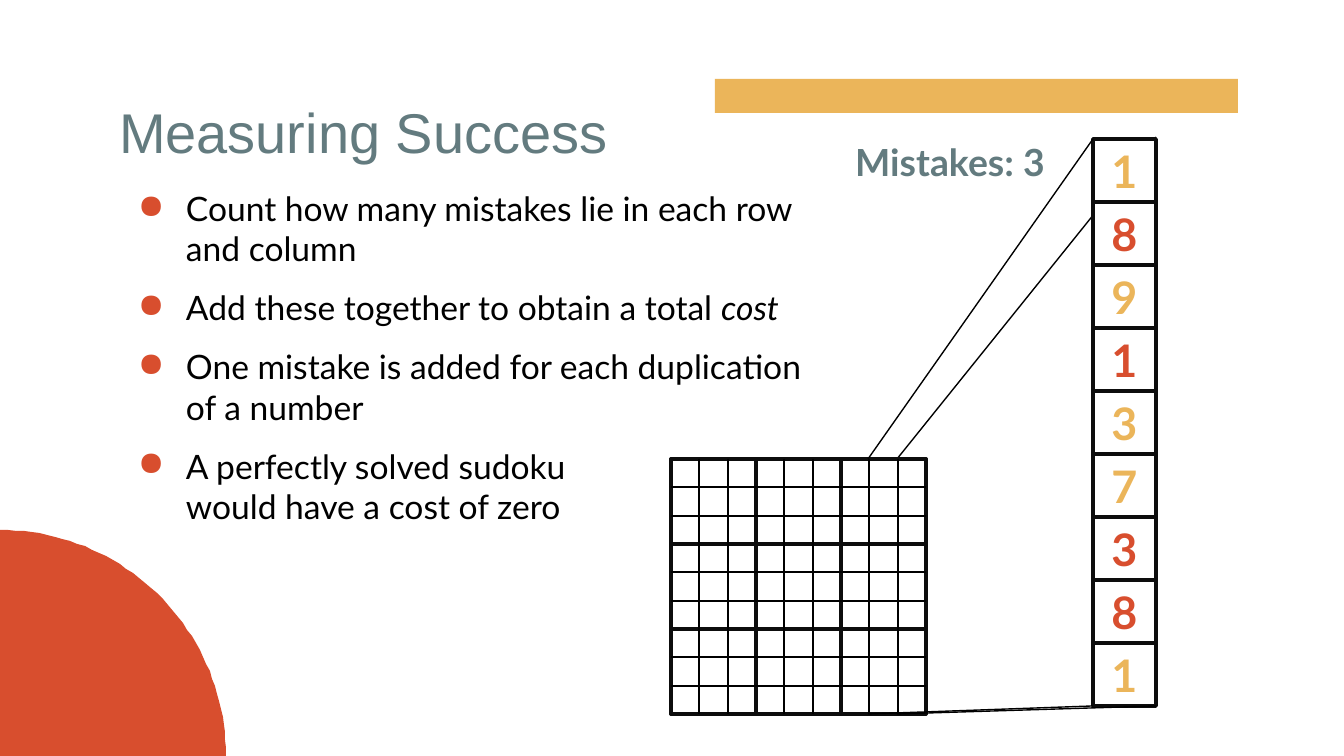
import math

import pptx
import pptx.dml.color
import pptx.enum.shapes
import pptx.enum.text
import pptx.oxml.ns
import pptx.util
from lxml import etree

PX = 914400 / 134.4  # EMU in one px
RGBColor = pptx.dml.color.RGBColor
YELLOW = RGBColor(0xEB, 0xB5, 0x5A)
RED = RGBColor(0xD8, 0x4E, 0x2E)
TEAL = RGBColor(0x63, 0x7B, 0x7F)
BLACK = RGBColor(0, 0, 0)
INK = RGBColor(0x0D, 0x0D, 0x0D)
WHITE = RGBColor(0xFF, 0xFF, 0xFF)
RECTANGLE = pptx.enum.shapes.MSO_SHAPE.RECTANGLE
STRAIGHT = pptx.enum.shapes.MSO_CONNECTOR.STRAIGHT
CENTER = pptx.enum.text.PP_ALIGN.CENTER
qn = pptx.oxml.ns.qn

presentation = pptx.Presentation()
presentation.slide_width = round(1344 * PX)
presentation.slide_height = round(756 * PX)
slide = presentation.slides.add_slide(presentation.slide_layouts[6])


def add_line(*ends):
    line = slide.shapes.add_connector(STRAIGHT, *[round(end * PX) for end in ends])
    line.line.color.rgb = BLACK
    line.line.width = pptx.util.Pt(0.75)
    etree.SubElement(line._element.spPr, qn("a:effectLst"))


def add_run(paragraph, text, font, size, color, bold=False, italic=False):
    run = paragraph.add_run()
    run.text = text
    run.font.name = font
    run.font.size = pptx.util.Pt(size)
    run.font.color.rgb = color
    run.font.bold = bold
    run.font.italic = italic


# Yellow bar
bar = slide.shapes.add_shape(
    RECTANGLE, *[round(n * PX) for n in (715, 79, 523, 34)])
bar.shadow.inherit = False
bar.fill.solid()
bar.fill.fore_color.rgb = YELLOW
bar.line.fill.background()

# Red quarter circle in the bottom left corner
RADIUS = 226
arc = [(RADIUS * math.sin(math.radians(angle)),
        756 - RADIUS * math.cos(math.radians(angle))) for angle in range(0, 91, 2)]
builder = slide.shapes.build_freeform(0, 756, scale=PX)
builder.add_line_segments(arc, close=True)
quarter = builder.convert_to_shape()
quarter.shadow.inherit = False
quarter.fill.solid()
quarter.fill.fore_color.rgb = RED
quarter.line.fill.background()

# Text boxes: title, bullets and mistake count
frames = []
for box in ((106, 85, 566, 85), (106, 175, 711, 408), (833, 126, 234, 128)):
    text_box = slide.shapes.add_textbox(*[round(n * PX) for n in box])
    frame = text_box.text_frame
    frame.word_wrap = True
    frame.margin_left = frame.margin_right = round(13 * PX)
    frame.margin_top = frame.margin_bottom = round(13 * PX)
    frames.append(frame)
title, body, count = frames

add_run(title.paragraphs[0], "Measuring Success", "Arial", 30, TEAL)
count.paragraphs[0].alignment = CENTER
add_run(count.paragraphs[0], "Mistakes: 3", "Lato", 20, TEAL, bold=True)

# Each bullet is a list of lines, each line a list of (text, italic) runs
bullets = [
    [[("Count how many mistakes lie in each row and column", False)]],
    [[("Add these together to obtain a total ", False), ("cost", True)]],
    [[("One mistake is added for each duplication of a number", False)]],
    [[("A perfectly solved sudoku ", False)], [("would have a cost of zero", False)]],
]
for index, lines in enumerate(bullets):
    paragraph = body.add_paragraph() if index else body.paragraphs[0]
    paragraph.space_after = pptx.util.Pt(10)
    properties = paragraph._p.get_or_add_pPr()
    properties.set("marL", str(round(67 * PX)))
    properties.set("indent", str(round(-48 * PX)))
    bullet_color = etree.SubElement(properties, qn("a:buClr"))
    etree.SubElement(bullet_color, qn("a:srgbClr")).set("val", str(RED))
    etree.SubElement(properties, qn("a:buChar")).set("char", "●")
    for number, runs in enumerate(lines):
        if number:
            paragraph.add_line_break()
        for text, italic in runs:
            add_run(paragraph, text, "Lato", 18, BLACK, italic=italic)

# Sudoku grid: outer frame, nine boxes, thin cell lines
GRID_LEFT, GRID_TOP, BOX = 671, 459, 85
GRID = 3 * BOX
GRID_RIGHT, GRID_BOTTOM = GRID_LEFT + GRID, GRID_TOP + GRID
COLUMN_LEFT, COLUMN_TOP, CELL = 1093, 139, 63
COLUMN_RIGHT, COLUMN_BOTTOM = COLUMN_LEFT + CELL, COLUMN_TOP + 9 * CELL
ZOOMED_LEFT, ZOOMED_RIGHT = 868, 897

add_line(ZOOMED_RIGHT, GRID_TOP, COLUMN_RIGHT, COLUMN_TOP - 2)

squares = [(GRID_LEFT, GRID_TOP, GRID)]
squares += [(GRID_LEFT + column * BOX, GRID_TOP + row * BOX, BOX)
            for row in range(3) for column in range(3)]
for left, top, size in squares:
    square = slide.shapes.add_shape(
        RECTANGLE, *[round(n * PX) for n in (left, top, size, size)])
    square.shadow.inherit = False
    square.fill.background()
    square.line.color.rgb = INK
    square.line.width = pptx.util.Pt(2)

for step in (1, 2, 4, 5, 7, 8):
    offset = round(step * GRID / 9)
    add_line(GRID_LEFT + offset, GRID_TOP, GRID_LEFT + offset, GRID_BOTTOM)
    add_line(GRID_LEFT, GRID_TOP + offset, GRID_RIGHT, GRID_TOP + offset)

# Enlarged column, repeated digits in red
digits = "189137381"
mistakes = (1, 3, 6, 7)
for index, digit in enumerate(digits):
    cell = slide.shapes.add_shape(
        RECTANGLE,
        *[round(n * PX) for n in (COLUMN_LEFT, COLUMN_TOP + index * CELL, CELL, CELL)])
    cell.shadow.inherit = False
    cell.fill.solid()
    cell.fill.fore_color.rgb = WHITE
    cell.line.color.rgb = INK
    cell.line.width = pptx.util.Pt(2)
    frame = cell.text_frame
    frame.margin_left = frame.margin_right = 0
    frame.margin_top = frame.margin_bottom = 0
    frame.vertical_anchor = pptx.enum.text.MSO_ANCHOR.MIDDLE
    frame.paragraphs[0].alignment = CENTER
    add_run(frame.paragraphs[0], digit, "Lato", 24,
            RED if index in mistakes else YELLOW, bold=True)

# Lines from the grid column to the enlarged column
add_line(ZOOMED_LEFT, GRID_BOTTOM, COLUMN_LEFT, COLUMN_BOTTOM)
add_line(ZOOMED_RIGHT, GRID_BOTTOM, COLUMN_RIGHT, COLUMN_BOTTOM)
add_line(ZOOMED_LEFT, GRID_TOP, COLUMN_LEFT, COLUMN_TOP)

presentation.save("out.pptx")
